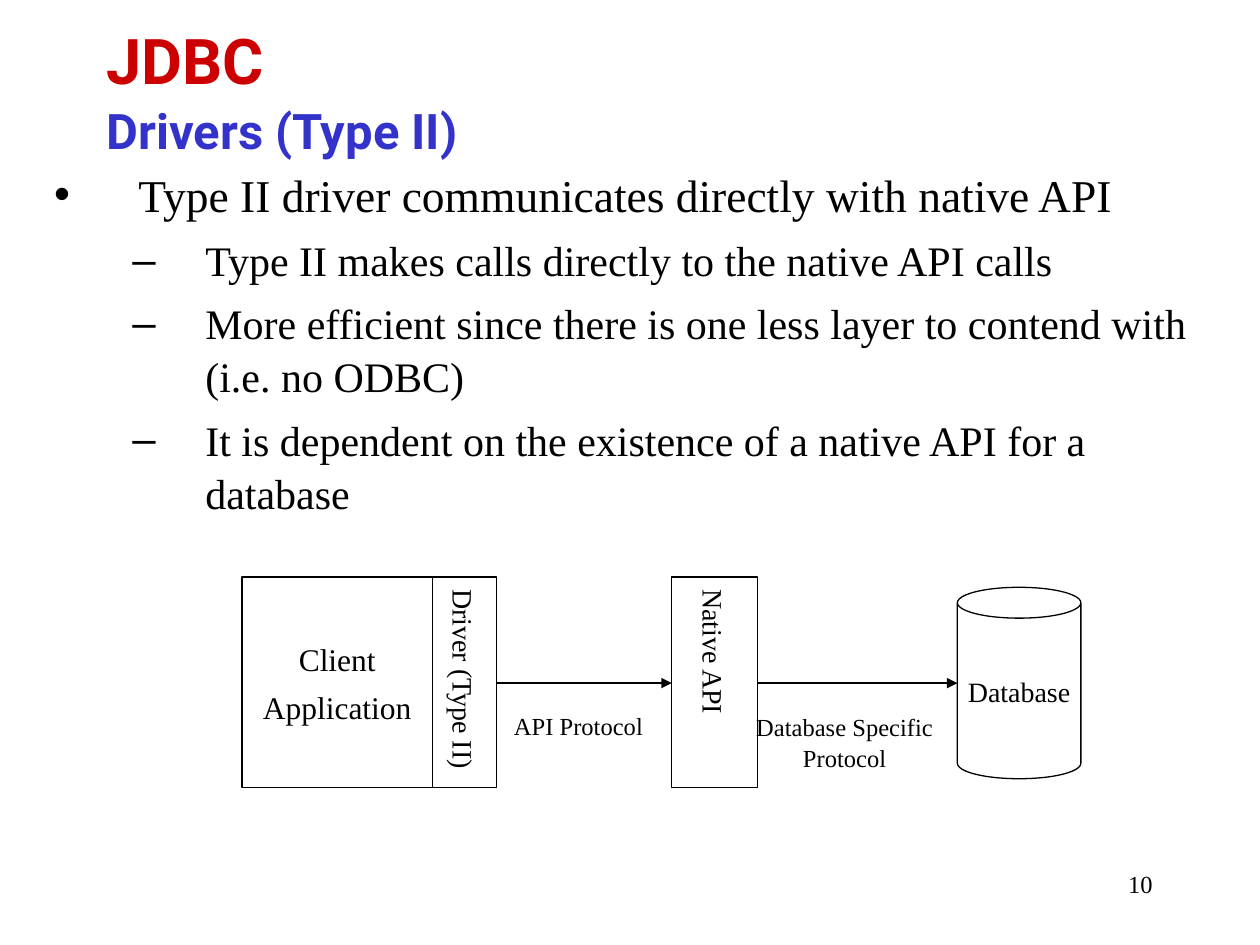
from lxml import etree
from pptx import Presentation
from pptx import util as u
from pptx.dml.color import RGBColor
from pptx.enum import shapes, text
from pptx.oxml.ns import qn

COLORS = {"ink": "000000", "heading": "CC0000", "subheading": "3333CC"}
SERIF = "Times New Roman"
LINE_SPACING = 1.05
FLAT = (0.25, 0.13)
UPRIGHT = (0.13, 0.25)


def set_text(frame, lines, size, before=0, align=text.PP_ALIGN.CENTER,
             anchor=text.MSO_ANCHOR.MIDDLE, insets=FLAT, wrap=True, vertical=False):
    side, edge = u.Cm(insets[0]), u.Cm(insets[1])
    settings = {"margin_left": side, "margin_right": side, "margin_top": edge,
                "margin_bottom": edge, "vertical_anchor": anchor,
                "auto_size": text.MSO_AUTO_SIZE.NONE, "word_wrap": wrap}
    for key, value in settings.items():
        setattr(frame, key, value)
    if vertical:
        frame._txBody.bodyPr.set("vert", "eaVert")
    frame.text = "\n".join(lines)
    for paragraph in frame.paragraphs:
        settings = {"alignment": align, "space_before": u.Pt(before),
                    "line_spacing": LINE_SPACING}
        for key, value in settings.items():
            setattr(paragraph, key, value)
        for run in paragraph.runs:
            set_font(run, size)


def set_font(run, size, name=SERIF, color="ink", bold=False):
    for key, value in {"size": u.Pt(size), "name": name, "bold": bold}.items():
        setattr(run.font, key, value)
    run.font.color.rgb = RGBColor.from_string(COLORS[color])


deck = Presentation()
deck.slide_width, deck.slide_height = u.Cm(25.4), u.Cm(19.05)
slide = deck.slides.add_slide(deck.slide_layouts[1])
heading, points = slide.placeholders

# Heading and list areas
areas = [(heading, (1.9, 0.2, 21.6, 3.18)), (points, (0.84, 3.18, 23.5, 14.8))]
for holder, area in areas:
    holder.left, holder.top, holder.width, holder.height = map(u.Cm, area)

# Heading in two lines
set_text(heading.text_frame, ["JDBC\vDrivers (Type II)"], 36, align=text.PP_ALIGN.LEFT)
topic, subtopic = heading.text_frame.paragraphs[0].runs
set_font(topic, 36, "Roboto", "heading", True)
set_font(subtopic, 28, "Roboto", "subheading", True)

# Driver properties
set_text(points.text_frame, [
    "Type II driver communicates directly with native API",
    "Type II makes calls directly to the native API calls",
    "More efficient since there is one less layer to contend with (i.e. no ODBC)",
    "It is dependent on the existence of a native API for a database",
], 24, before=6, align=text.PP_ALIGN.LEFT, anchor=text.MSO_ANCHOR.TOP)
for index, point in enumerate(points.text_frame.paragraphs):
    point.level = min(index, 1)
    margin, hanging = (3.05, 1.47) if index else (1.7, 1.7)
    properties = point._p.get_or_add_pPr()
    properties.set("marL", str(u.Cm(margin)))
    properties.set("indent", str(-u.Cm(hanging)))
main_point = points.text_frame.paragraphs[0]
main_point.space_before = u.Pt(6.5)
set_font(main_point.runs[0], 26)

# Components of the connection: preset, area, lines, size, text options
RECT, CAN = shapes.MSO_SHAPE.RECTANGLE, shapes.MSO_SHAPE.CAN
turned = {"insets": UPRIGHT, "vertical": True, "before": 4}
components = [
    (RECT, (4.88, 11.63, 3.84, 4.24), ["Client", "Application"], 18, {"before": 4.5}),
    (RECT, (8.72, 11.63, 1.29, 4.24), ["Driver (Type II)"], 16, turned),
    (RECT, (13.54, 11.63, 1.73, 4.24), ["Native API"], 16, turned),
    (CAN, (19.3, 11.84, 2.49, 3.86), ["Database"], 16, {"wrap": False, "before": 4}),
]
for preset, area, lines, size, options in components:
    component = slide.shapes.add_shape(preset, *map(u.Cm, area))
    component.shadow.inherit = False
    component.fill.background()
    component.line.color.rgb = RGBColor.from_string(COLORS["ink"])
    component.line.width = u.Pt(0.75)
    set_text(component.text_frame, lines, size, **options)

# Calls between the components
call_y = u.Cm(13.77)
for start, end in [(10.01, 13.54), (15.27, 19.3)]:
    call = slide.shapes.add_connector(
        shapes.MSO_CONNECTOR.STRAIGHT, u.Cm(start), call_y, u.Cm(end), call_y)
    call.line.color.rgb = RGBColor.from_string(COLORS["ink"])
    call.line.width = u.Pt(0.75)
    etree.SubElement(call.line._get_or_add_ln(), qn("a:tailEnd"), type="triangle")
    etree.SubElement(call._element.spPr, qn("a:effectLst"))

# Protocol names, vertical text turned back to read level
protocols = {"API Protocol": (11.25, 13.28, 1.19, 2.97),
             "Database Specific Protocol": (16.36, 13.08, 1.78, 4.01)}
for name, area in protocols.items():
    protocol = slide.shapes.add_textbox(*map(u.Cm, area))
    protocol.rotation = 270
    set_text(protocol.text_frame, [name], 14, before=3.5, insets=(0.13, 0),
             anchor=text.MSO_ANCHOR.TOP, vertical=True)

# Page number
page = slide.shapes.add_textbox(*map(u.Cm, (18.21, 17.35, 5.28, 1.27)))
set_text(page.text_frame, ["10"], 14, align=text.PP_ALIGN.RIGHT,
         anchor=text.MSO_ANCHOR.TOP)

deck.save("out.pptx")
